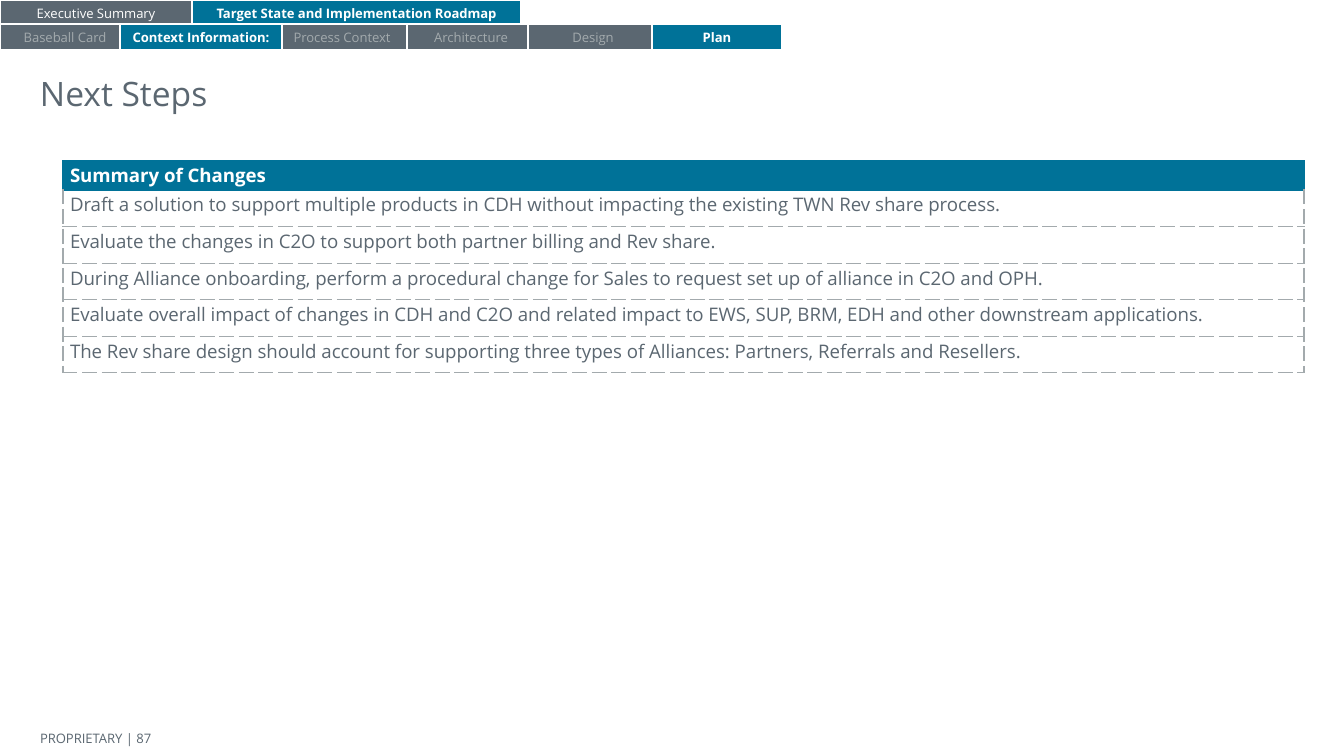
from lxml import etree
from pptx import Presentation
from pptx.dml.color import RGBColor
from pptx.enum.shapes import MSO_SHAPE
from pptx.enum.text import MSO_ANCHOR, PP_ALIGN
from pptx.oxml.ns import qn
from pptx.util import Pt

RECTANGLE = MSO_SHAPE.RECTANGLE
TOP, MIDDLE, BOTTOM = MSO_ANCHOR.TOP, MSO_ANCHOR.MIDDLE, MSO_ANCHOR.BOTTOM
LEFT, CENTER = PP_ALIGN.LEFT, PP_ALIGN.CENTER

EMU_PER_PX = 914400 / 134.4
FONT = "Open Sans"
COLORS = {
    "teal": "007298",
    "slate": "5B6771",
    "silver": "A3AAAD",
    "white": "FFFFFF",
}
SECTION_TABS = [
    ("Target State and Implementation Roadmap", 192, 329, "active"),
    ("Executive Summary", 0, 192, "visited"),
]
TOPIC_TABS = [
    ("Architecture", 406, 130, "inactive"),
    ("Baseball Card", 0, 130, "inactive"),
    ("Design", 528, 130, "inactive"),
    ("Plan", 652, 130, "active"),
    ("Process Context", 277, 130, "inactive"),
    ("Context Information:", 120, 162, "active"),
]
TAB_STYLES = {
    "active": ("teal", "white", True),
    "visited": ("slate", "white", False),
    "inactive": ("slate", "silver", False),
}
CHANGES = [
    "Draft a solution to support multiple products in CDH without impacting the existing TWN Rev share process.",
    "Evaluate the changes in C2O to support both partner billing and Rev share.",
    "During Alliance onboarding, perform a procedural change for Sales to request set up of alliance in C2O and OPH.",
    "Evaluate overall impact of changes in CDH and C2O and related impact to EWS, SUP, BRM, EDH and other downstream applications.",
    "The Rev share design should account for supporting three types of Alliances: Partners, Referrals and Resellers.",
]


def px(length):
    """Convert pixels to EMU."""
    return round(length * EMU_PER_PX)


def rgb(name):
    """Look up a named colour."""
    return RGBColor.from_string(COLORS[name])


def write_text(text_frame, text, size, color, bold=False, align=LEFT):
    """Set one paragraph of text and format its run."""
    text_frame.text = text
    paragraph = text_frame.paragraphs[0]
    paragraph.alignment = align
    font = paragraph.runs[0].font
    font.name, font.size, font.bold = FONT, Pt(size), bold
    font.color.rgb = rgb(color)


def set_margins(target, horizontal, vertical):
    """Set the inner margins of a text frame or table cell."""
    target.margin_left = target.margin_right = px(horizontal)
    target.margin_top = target.margin_bottom = px(vertical)


def add_label(slide, box, text, size):
    """Add a plain slate text box without margins."""
    text_frame = slide.shapes.add_textbox(*map(px, box)).text_frame
    text_frame.word_wrap = True
    text_frame.vertical_anchor = MIDDLE
    set_margins(text_frame, 0, 0)
    write_text(text_frame, text, size, "slate")


def add_tab_row(slide, box, tabs):
    """Add a row of navigation tabs at offsets inside the box."""
    left, top, _, height = box
    for text, offset, width, state in tabs:
        fill, color, bold = TAB_STYLES[state]
        shape = slide.shapes.add_shape(
            RECTANGLE, px(left + offset), px(top), px(width), px(height)
        )
        shape.shadow.inherit = False
        shape.fill.solid()
        shape.fill.fore_color.rgb = rgb(fill)
        shape.line.color.rgb = rgb("white")
        shape.line.width = Pt(0.75)
        text_frame = shape.text_frame
        text_frame.word_wrap = True
        text_frame.vertical_anchor = MIDDLE
        set_margins(text_frame, 7, 7)
        write_text(text_frame, text, 7, color, bold, CENTER)


def set_borders(cell, edges):
    """Draw the cell borders from a mapping of edge to colour and dash."""
    properties = cell._tc.get_or_add_tcPr()
    for index, edge in enumerate(("L", "R", "T", "B")):
        color, dash = edges[edge]
        line = etree.Element(qn(f"a:ln{edge}"), w=str(Pt(0.75)))
        fill = etree.SubElement(line, qn("a:solidFill"))
        etree.SubElement(fill, qn("a:srgbClr"), val=COLORS[color])
        etree.SubElement(line, qn("a:prstDash"), val=dash)
        properties.insert(index, line)


def add_changes_table(slide, box, heading, changes):
    """Add a one-column table with a heading row above equal rows."""
    heading_height = 29
    height = box[3]
    table = slide.shapes.add_table(len(changes) + 1, 1, *map(px, box)).table
    table.horz_banding = False
    solid, dashed = ("teal", "solid"), ("silver", "dash")
    for index, text in enumerate([heading, *changes]):
        is_heading = index == 0
        table.rows[index].height = px(
            heading_height if is_heading else (height - heading_height) / len(changes)
        )
        cell = table.cell(index, 0)
        set_margins(cell, 7, 2)
        cell.vertical_anchor = BOTTOM if is_heading else TOP
        cell.fill.solid()
        cell.fill.fore_color.rgb = rgb("teal" if is_heading else "white")
        write_text(cell.text_frame, text, 10, "white" if is_heading else "slate", is_heading)
        edges = dict.fromkeys("LRTB", solid if is_heading else dashed)
        if index <= 1:
            edges["T"] = solid
        set_borders(cell, edges)


def main():
    """Build and save the Next Steps slide."""
    presentation = Presentation()
    presentation.slide_width, presentation.slide_height = px(1344), px(756)
    slide = presentation.slides.add_slide(presentation.slide_layouts[6])
    add_label(slide, (40, 725, 186, 26), "PROPRIETARY | 87", 7)
    add_label(slide, (40, 73, 1304, 40), "Next Steps", 18)
    add_tab_row(slide, (0, 0, 521, 26), SECTION_TABS)
    add_tab_row(slide, (0, 24, 782, 26), TOPIC_TABS)
    add_changes_table(slide, (63, 161, 1241, 212), "Summary of Changes", CHANGES)
    presentation.save("out.pptx")


if __name__ == "__main__":
    main()
